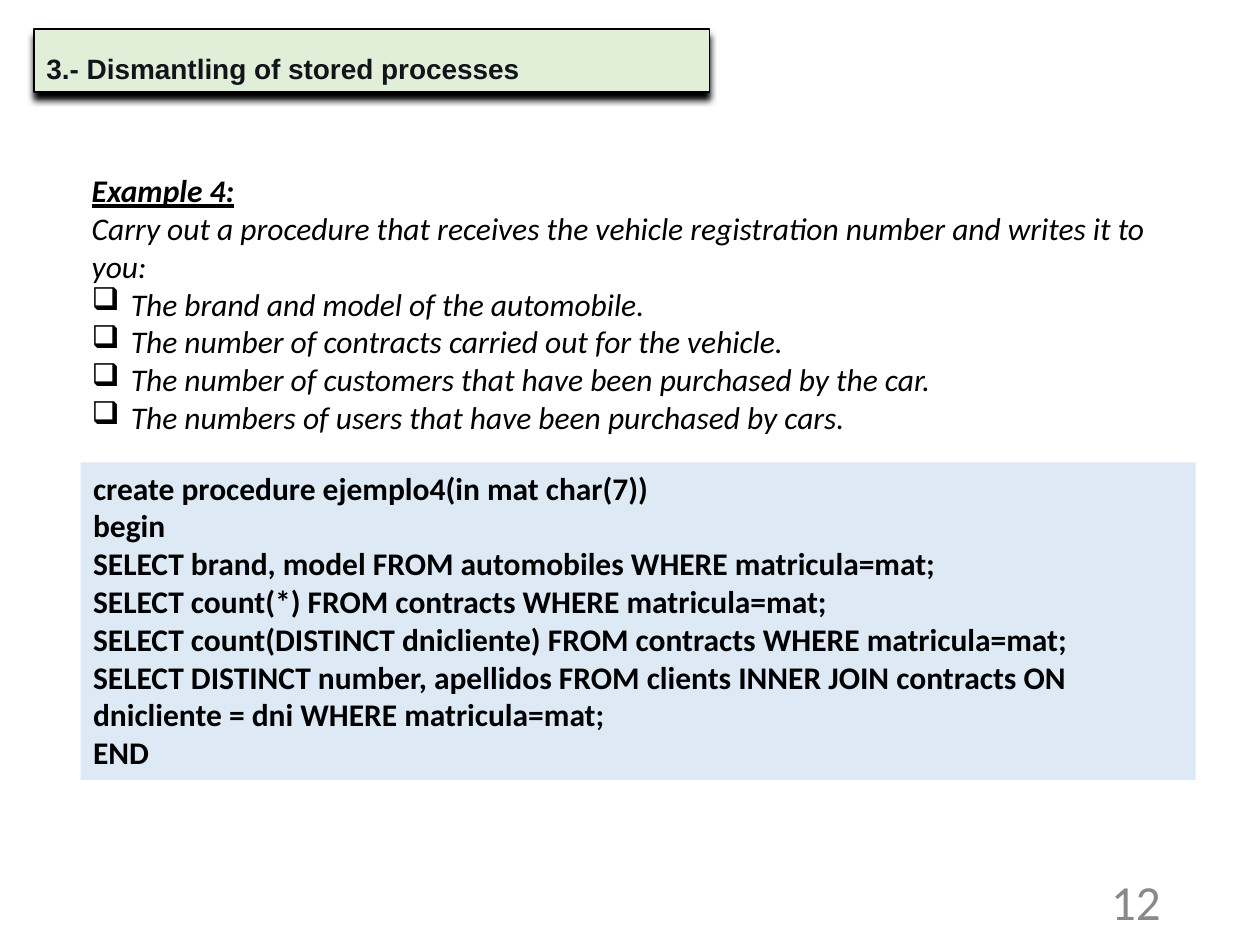
from dataclasses import dataclass

from lxml.etree import SubElement
from pptx import Presentation
from pptx.dml.color import RGBColor
from pptx.enum.shapes import MSO_SHAPE
from pptx.enum.text import MSO_ANCHOR, PP_ALIGN
from pptx.oxml.ns import qn
from pptx.util import Inches, Pt


@dataclass(frozen=True)
class Theme:
    heading_font: str = "Arial"
    body_font: str = "Calibri"
    heading_size: int = 16
    body_size: int = 18
    number_size: int = 28
    black: str = "000000"
    heading_text: str = "11151A"
    number_text: str = "898989"
    heading_fill: str = "E1EFD8"
    code_fill: str = "DDEAF6"


theme = Theme()


def add_panel(slide, left, top, width, height, fill):
    panel = slide.shapes.add_shape(
        MSO_SHAPE.RECTANGLE, Inches(left), Inches(top), Inches(width), Inches(height))
    panel.shadow.inherit = False
    panel.fill.solid()
    panel.fill.fore_color.rgb = RGBColor.from_string(fill)
    panel.line.fill.background()
    return panel


def write_text(shape, text, font, size, color, bold=False, italic=False,
               align=PP_ALIGN.LEFT, anchor=MSO_ANCHOR.TOP):
    text_frame = shape.text_frame
    text_frame.word_wrap = True
    text_frame.vertical_anchor = anchor
    text_frame.text = text
    for paragraph in text_frame.paragraphs:
        paragraph.alignment = align
        for run in paragraph.runs:
            run.font.name = font
            run.font.size = Pt(size)
            run.font.color.rgb = RGBColor.from_string(color)
            run.font.bold = bold
            run.font.italic = italic
    return text_frame.paragraphs


presentation = Presentation()
presentation.slide_width = Inches(10)
presentation.slide_height = Inches(7.5)
slide = presentation.slides.add_slide(presentation.slide_layouts[6])

# Heading bar with a shadow straight below it
heading = add_panel(slide, 0.27, 0.23, 5.36, 0.5, theme.heading_fill)
heading.line.color.rgb = RGBColor.from_string(theme.black)
heading.line.width = Pt(0.75)
effects = heading._element.spPr.find(qn("a:effectLst"))
shadow = SubElement(effects, qn("a:outerShdw"), blurRad=str(Pt(4)), dist=str(Pt(4)),
                    dir="5400000", algn="ctr", rotWithShape="0")
SubElement(shadow, qn("a:srgbClr"), val=theme.black)
heading_paragraph = write_text(
    heading, "3.- Dismantling of stored processes", theme.heading_font,
    theme.heading_size, theme.heading_text, bold=True, anchor=MSO_ANCHOR.TOP)[0]
heading_paragraph.line_spacing = 1.5
heading_properties = heading_paragraph._p.get_or_add_pPr()
heading_properties.set("marL", str(Inches(0.5)))
heading_properties.set("indent", str(-Inches(0.5)))

# Slide number
number_box = slide.shapes.add_textbox(Inches(7.06), Inches(6.95), Inches(2.25), Inches(0.4))
write_text(number_box, "12", theme.body_font, theme.number_size, theme.number_text,
           align=PP_ALIGN.RIGHT, anchor=MSO_ANCHOR.MIDDLE)

# Exercise: title, task and checklist
introduction = [
    "Example 4:",
    "Carry out a procedure that receives the vehicle registration number and writes it to you:",
]
checklist = [
    "The brand and model of the automobile.",
    "The number of contracts carried out for the vehicle.",
    "The number of customers that have been purchased by the car.",
    "The numbers of users that have been purchased by cars.",
]
exercise_box = slide.shapes.add_textbox(Inches(0.63), Inches(1.31), Inches(8.74), Inches(5.55))
exercise_paragraphs = write_text(
    exercise_box, "\n".join(introduction + checklist), theme.body_font,
    theme.body_size, theme.black, italic=True)
title_font = exercise_paragraphs[0].runs[0].font
title_font.bold = True
title_font.underline = True
for paragraph in exercise_paragraphs[len(introduction):]:
    properties = paragraph._p.get_or_add_pPr()
    properties.set("marL", str(Inches(0.31)))
    properties.set("indent", str(-Inches(0.31)))
    bullet_color = SubElement(properties, qn("a:buClr"))
    SubElement(bullet_color, qn("a:srgbClr"), val=theme.black)
    SubElement(properties, qn("a:buChar"), char="❑")

# Code panel
code_lines = [
    "create procedure ejemplo4(in mat char(7))",
    "begin",
    "SELECT brand, model FROM automobiles WHERE matricula=mat;",
    "SELECT count(*) FROM contracts WHERE matricula=mat;",
    "SELECT count(DISTINCT dnicliente) FROM contracts WHERE matricula=mat;",
    "SELECT DISTINCT number, apellidos FROM clients INNER JOIN contracts ON "
    "dnicliente = dni WHERE matricula=mat;",
    "END",
]
code_panel = add_panel(slide, 0.64, 3.67, 8.85, 2.52, theme.code_fill)
write_text(code_panel, "\n".join(code_lines), theme.body_font, theme.body_size,
           theme.black, bold=True)

presentation.save("out.pptx")
